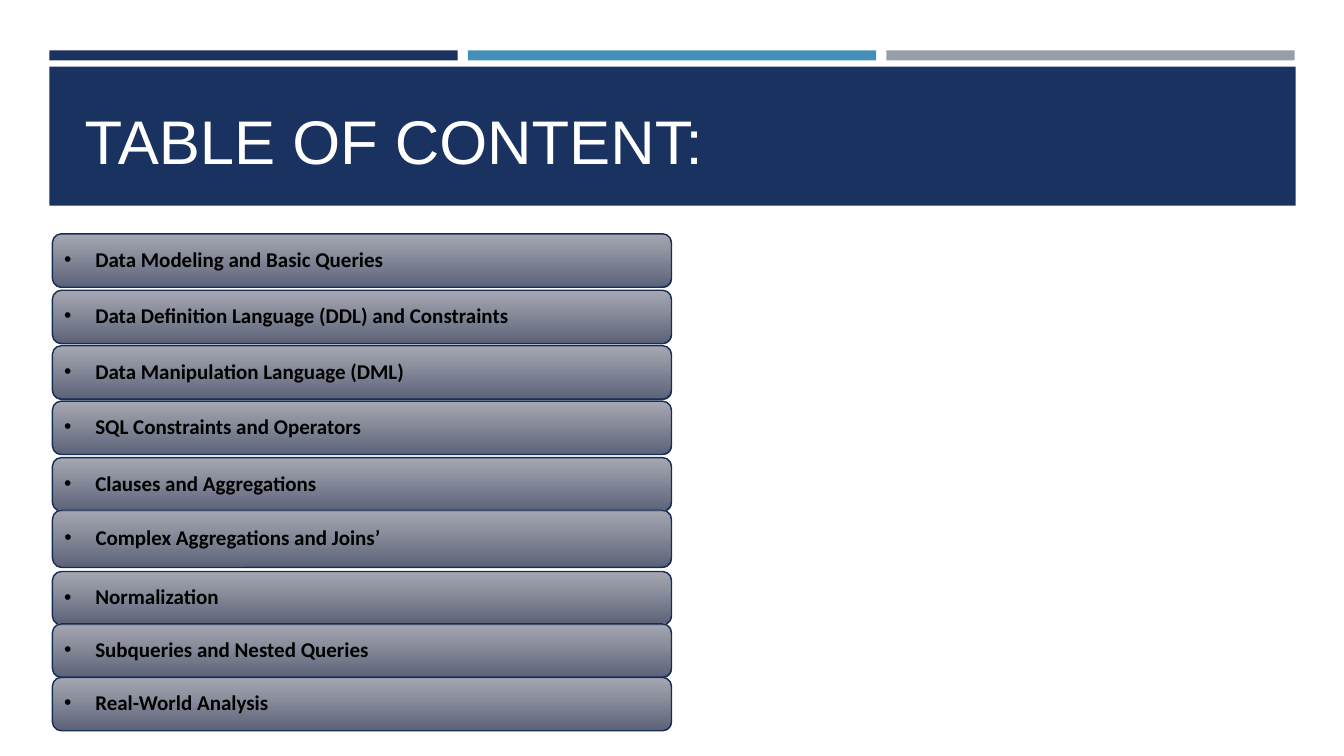
from dataclasses import dataclass

from lxml import etree
from pptx import Presentation
from pptx import util as u
from pptx.dml.color import RGBColor
from pptx.enum import shapes, text
from pptx.oxml.ns import qn


@dataclass(frozen=True)
class Theme:
    navy: str = "1A3260"
    blue: str = "4590B8"
    grey: str = "969FA7"
    white: str = "FFFFFF"
    black: str = "000000"
    row_top: str = "9C9FAA"
    row_bottom: str = "5B6177"
    row_line: str = "172D56"
    title_font: str = "Arial"
    row_font: str = "Calibri"
    title_size: int = 44
    row_size: int = 15


def rgb(value):
    return RGBColor.from_string(value)


class ContentsSlide:
    def __init__(self, slide, theme):
        self.slide = slide
        self.theme = theme

    def add_run(self, paragraph, words, font, size, color, bold=False):
        run = paragraph.add_run()
        run.text = words
        run.font.name = font
        run.font.size = u.Pt(size)
        run.font.bold = bold
        run.font.color.rgb = rgb(color)

    def bar(self, left, top, width, height, color):
        bar = self.slide.shapes.add_shape(
            shapes.MSO_SHAPE.RECTANGLE, *map(u.Inches, (left, top, width, height)))
        bar.shadow.inherit = False
        bar.fill.solid()
        bar.fill.fore_color.rgb = rgb(color)
        bar.line.fill.background()

    def title(self, words, left, top, width, height):
        title = self.slide.shapes.title
        title.left, title.top, title.width, title.height = map(
            u.Inches, (left, top, width, height))
        # Bring the title in front of its banner
        title.element.getparent().append(title.element)
        frame = title.text_frame
        frame.word_wrap = True
        frame.auto_size = text.MSO_AUTO_SIZE.NONE
        frame.vertical_anchor = text.MSO_ANCHOR.BOTTOM
        heading = frame.paragraphs[0]
        heading.alignment = text.PP_ALIGN.LEFT
        self.add_run(heading, words, self.theme.title_font,
                     self.theme.title_size, self.theme.white)

    def topic(self, words, left, top, width, height):
        topic = self.slide.shapes.add_shape(
            shapes.MSO_SHAPE.ROUNDED_RECTANGLE,
            *map(u.Inches, (left, top, width, height)))
        topic.shadow.inherit = False

        # Vertical gradient, slightly transparent at the top
        topic.fill.gradient()
        topic.fill.gradient_angle = 270
        stops = topic.fill.gradient_stops
        for stop, color in zip(stops, (self.theme.row_top, self.theme.row_bottom)):
            stop.color.rgb = rgb(color)
        top_color = topic.element.spPr.find(".//" + qn("a:srgbClr"))
        etree.SubElement(top_color, qn("a:alpha"), val="90000")
        topic.line.color.rgb = rgb(self.theme.row_line)
        topic.line.width = u.Pt(1)

        # Bulleted label
        frame = topic.text_frame
        frame.word_wrap = True
        frame.vertical_anchor = text.MSO_ANCHOR.MIDDLE
        frame.margin_left = frame.margin_right = u.Inches(0.09)
        frame.margin_top = frame.margin_bottom = u.Inches(0.06)
        label = frame.paragraphs[0]
        properties = label._p.get_or_add_pPr()
        properties.set("marL", str(u.Inches(0.31)))
        properties.set("indent", str(-u.Inches(0.31)))
        etree.SubElement(properties, qn("a:buFont"), typeface="Arial")
        etree.SubElement(properties, qn("a:buChar"), char="•")
        label.alignment = text.PP_ALIGN.LEFT
        label.line_spacing = 0.9
        self.add_run(label, words, self.theme.row_font, self.theme.row_size,
                     self.theme.black, bold=True)


TOPICS = [
    # label, top, height
    ("Data Modeling and Basic Queries", 2.32, 0.53),
    ("Data Definition Language (DDL) and Constraints", 2.88, 0.53),
    ("Data Manipulation Language (DML)", 3.43, 0.53),
    ("SQL Constraints and Operators", 3.98, 0.53),
    ("Clauses and Aggregations", 4.54, 0.53),
    ("Complex Aggregations and Joins’", 5.06, 0.57),
    ("Normalization", 5.67, 0.53),
    ("Subqueries and Nested Queries", 6.19, 0.53),
    ("Real-World Analysis", 6.72, 0.53),
]


def main():
    deck = Presentation()
    deck.slide_width, deck.slide_height = u.Inches(13.33), u.Inches(7.5)
    theme = Theme()
    contents = ContentsSlide(deck.slides.add_slide(deck.slide_layouts[5]), theme)

    # Colour strips above the banner
    for column, color in enumerate((theme.navy, theme.blue, theme.grey)):
        contents.bar(0.49 + column * 4.15, 0.5, 4.05, 0.1, color)

    # Banner and title
    contents.bar(0.49, 0.66, 12.36, 1.38, theme.navy)
    contents.title("TABLE OF CONTENT:", 0.74, 0.78, 12.06, 1.02)

    # Topic list
    for label, top, height in TOPICS:
        contents.topic(label, 0.52, top, 6.14, height)

    deck.save("out.pptx")


if __name__ == "__main__":
    main()
